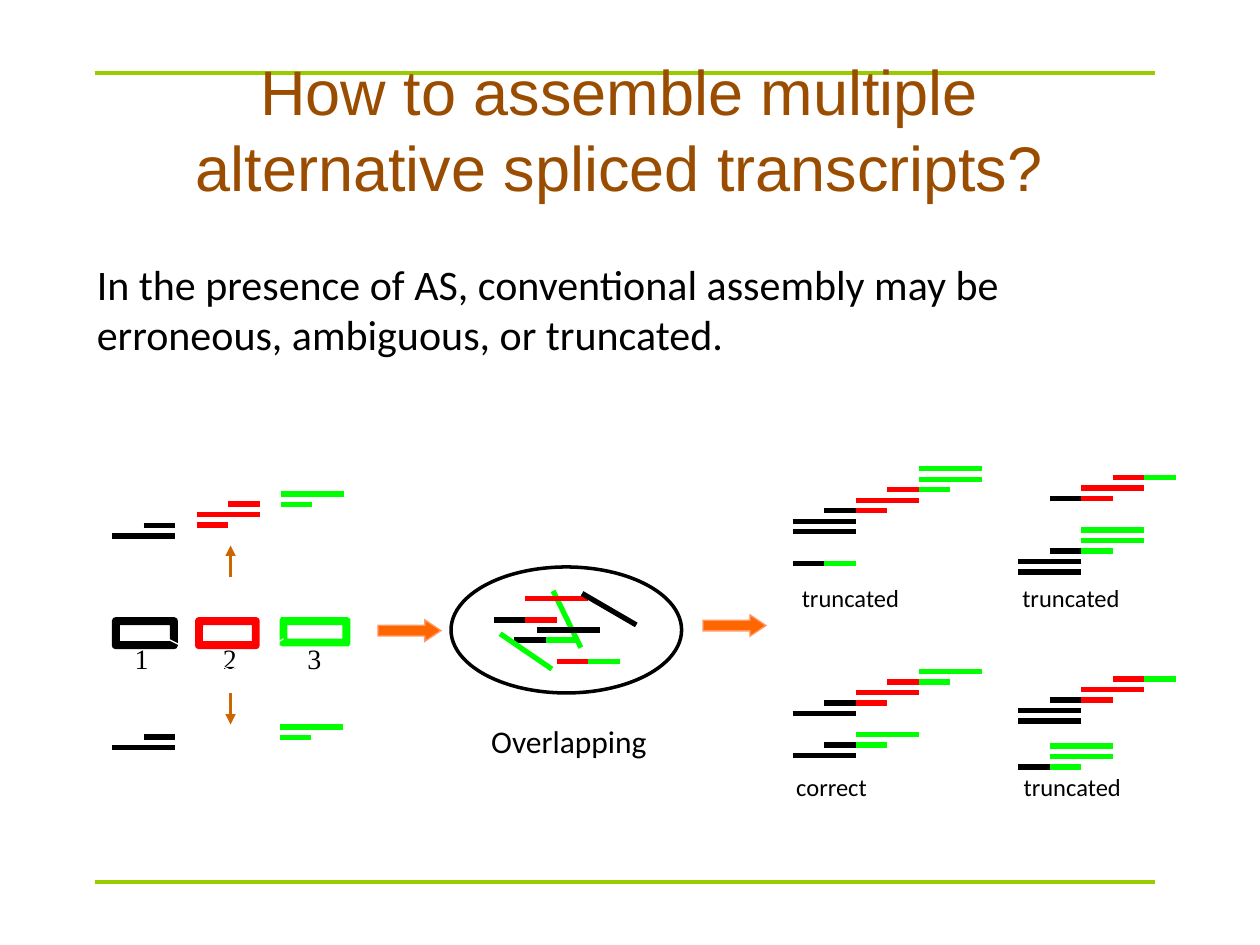
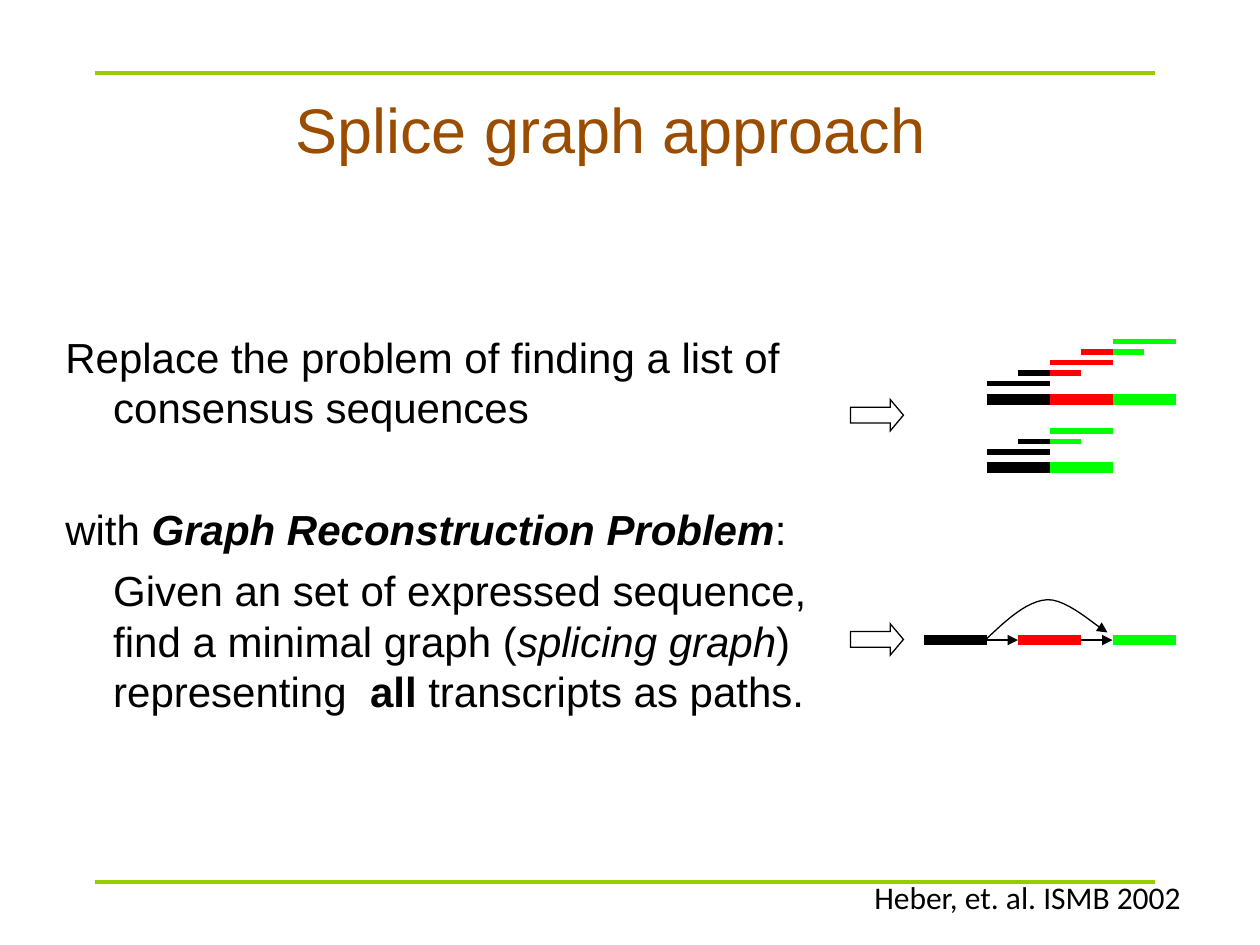
from itertools import groupby

from lxml import etree
from pptx import Presentation
from pptx.dml.color import RGBColor
from pptx.enum.shapes import MSO_CONNECTOR, MSO_SHAPE
from pptx.enum.text import MSO_ANCHOR, MSO_AUTO_SIZE, PP_ALIGN
from pptx.oxml.ns import qn
from pptx.util import Inches, Pt

BLACK = RGBColor(0x00, 0x00, 0x00)
WHITE = RGBColor(0xFF, 0xFF, 0xFF)
RED = RGBColor(0xFF, 0x00, 0x00)
GREEN = RGBColor(0x00, 0xFF, 0x00)
RULE_GREEN = RGBColor(0x99, 0xCC, 0x00)
TITLE_BROWN = RGBColor(0x9A, 0x4D, 0x00)
ARROW_BROWN = RGBColor(0xCC, 0x66, 0x00)
ARROW_ORANGE = RGBColor(0xFF, 0x66, 0x00)
ARROW_EDGE = RGBColor(0xFF, 0x99, 0x66)

EXON_COLORS = {"K": BLACK, "R": RED, "G": GREEN}
HALF_READ = 0.25
READ_PITCH = 1 / 12

FULL_TRANSCRIPT = ["....GG", "...RG", "..RR", ".KR", "KK"]
SKIPPED_EXON = ["..GG", ".KG", "KK"]


def write(frame, text, size=24, font="Calibri", color=BLACK, align=PP_ALIGN.LEFT,
          before=0, margin=0, indent=0, append=False):
    """Write one paragraph; text is a string or a list of (text, bold, italic)."""
    paragraph = frame.add_paragraph() if append else frame.paragraphs[0]
    paragraph.alignment = align
    paragraph.space_before = Pt(before)
    properties = paragraph._p.get_or_add_pPr()
    properties.set("marL", str(Inches(margin)))
    properties.set("indent", str(Inches(indent)))
    for words, bold, italic in [(text, False, False)] if isinstance(text, str) else text:
        run = paragraph.add_run()
        run.text = words
        run.font.size, run.font.name = Pt(size), font
        run.font.bold, run.font.italic = bold, italic
        run.font.color.rgb = color


def text_frame(slide, left, top, width, height):
    box = slide.shapes.add_textbox(Inches(left), Inches(top), Inches(width), Inches(height))
    box.text_frame.word_wrap = True
    return box.text_frame


def add_label(slide, text, left, top, width, height, **style):
    """A one-line text whose box grows with it instead of wrapping."""
    frame = text_frame(slide, left, top, width, height)
    frame.word_wrap = False
    frame.auto_size = MSO_AUTO_SIZE.SHAPE_TO_FIT_TEXT
    write(frame, text, **style)


def add_arrowhead(shape):
    etree.SubElement(shape.line._get_or_add_ln(), qn("a:tailEnd"), type="triangle")


def add_line(slide, start, end, color, width=3, arrow=False):
    line = slide.shapes.add_connector(
        MSO_CONNECTOR.STRAIGHT, *(Inches(value) for value in (*start, *end)))
    line.line.color.rgb = color
    line.line.width = Pt(width)
    if arrow:
        add_arrowhead(line)
    etree.SubElement(line._element.spPr, qn("a:effectLst"))


def add_outline(slide, points, color, width=0.75, arrow=False):
    (first, *rest) = [(Inches(x), Inches(y)) for x, y in points]
    builder = slide.shapes.build_freeform(*first)
    builder.add_line_segments(rest, close=False)
    outline = builder.convert_to_shape()
    outline.shadow.inherit = False
    outline.fill.background()
    outline.line.color.rgb = color
    outline.line.width = Pt(width)
    if arrow:
        add_arrowhead(outline)


def add_preset(slide, kind, left, top, width, height, edge, edge_width=0.75,
               fill=None, adjustments=()):
    shape = slide.shapes.add_shape(
        kind, Inches(left), Inches(top), Inches(width), Inches(height))
    shape.shadow.inherit = False
    for index, value in enumerate(adjustments):
        shape.adjustments[index] = value
    if fill is None:
        shape.fill.background()
    else:
        shape.fill.solid()
        shape.fill.fore_color.rgb = fill
    shape.line.color.rgb = edge
    shape.line.width = Pt(edge_width)
    etree.SubElement(shape.line._get_or_add_ln(), qn("a:miter"), lim="800000")


def add_reads(slide, left, top, rows, width=3):
    """Draw rows of reads; a letter is a half read of that exon, a dot a gap."""
    for row, pattern in enumerate(rows):
        y, x = top + row * READ_PITCH, left
        for exon, halves in groupby(pattern):
            end = x + HALF_READ * len(list(halves))
            if exon in EXON_COLORS:
                add_line(slide, (x, y), (end, y), EXON_COLORS[exon], width)
            x = end


def bezier(p0, p1, p2, p3, steps=12):
    for step in range(steps + 1):
        t = step / steps
        weights = ((1 - t) ** 3, 3 * t * (1 - t) ** 2, 3 * t * t * (1 - t), t ** 3)
        yield tuple(sum(w * p[axis] for w, p in zip(weights, (p0, p1, p2, p3)))
                    for axis in (0, 1))


def add_titled_slide(deck, title):
    """A slide with the two rules, and its title in front of them."""
    slide = deck.slides.add_slide(deck.slide_layouts[5])
    for y in (0.58, 7):
        add_line(slide, (0.75, y), (9.17, y), RULE_GREEN, 2.25)
    holder = slide.shapes.title
    slide.shapes._spTree.append(holder._element)
    holder.left, holder.top = Inches(1), Inches(0.67)
    holder.width, holder.height = Inches(7.83), Inches(0.7)
    frame = holder.text_frame
    frame.auto_size = MSO_AUTO_SIZE.NONE
    frame.vertical_anchor = MSO_ANCHOR.MIDDLE
    frame.margin_left = frame.margin_right = frame.margin_top = frame.margin_bottom = 0
    write(frame, title, size=36, font="Arial", color=TITLE_BROWN, align=PP_ALIGN.CENTER)
    return slide


def add_gene(slide, left, top):
    """Three numbered exons, with the reads of both splice forms around them."""
    exons = [("1", 0.09, 0.46, 0.19, BLACK, 0.14), ("2", 0.75, 0.45, 0.19, RED, 0.84),
             ("3", 1.42, 0.5, 0.17, GREEN, 1.51)]
    for number, x, width, height, color, label_x in exons:
        add_preset(slide, MSO_SHAPE.ROUNDED_RECTANGLE, left + x, top + 1.01, width, height,
                   color, 4.5, adjustments=[0.01])
        add_label(slide, number, left + label_x, top + 1.12, 0.31, 0.37,
                  size=16, font="Times New Roman")
    for x, y, rows in [(0.06, 0.25, [".K", "KK"]), (0.73, 0.08, [".R", "RR", "R"]),
                       (1.4, 0, ["GG", "G"]), (0.06, 1.93, [".K", "KK"]),
                       (1.39, 1.85, ["GG", "G"])]:
        add_reads(slide, left + x, top + y, rows)
    skip = [(0.5, 1.15), (1, 1.4), (1.42, 1.15)]
    add_outline(slide, [(left + x, top + y) for x, y in skip], WHITE)
    for start, end in ((0.66, 0.41), (1.58, 1.83)):
        add_line(slide, (left + 1, top + start), (left + 1, top + end),
                 ARROW_BROWN, 1.5, arrow=True)


def add_read_pool(slide, left, top):
    """The oval of unordered reads with its caption."""
    def tilted(start, end, color):
        add_line(slide, (left + start[0], top + start[1]),
                 (left + end[0], top + end[1]), color)

    tilted((1.03, 0.64), (0.81, 0.19), GREEN)
    add_reads(slide, left + 0.59, top + 0.25, ["RR"])
    tilted((1.04, 0.21), (1.47, 0.46), BLACK)
    for x, y, read in [(0.34, 0.42, "KR"), (0.84, 0.75, "RG"),
                       (0.68, 0.5, "KK"), (0.5, 0.58, "KG")]:
        add_reads(slide, left + x, top + y, [read])
    tilted((0.39, 0.53), (0.8, 0.81), GREEN)
    add_preset(slide, MSO_SHAPE.OVAL, left, top, 1.83, 1, BLACK, 2)
    add_label(slide, "Overlapping", left + 0.14, top + 1.18, 1.59, 0.4,
              size=18, align=PP_ALIGN.CENTER)


def add_assemblies(slide, left, top):
    """The four possible assemblies, each with its verdict."""
    right = left + 1.79
    stacks = [
        (left, 0, ["....GG", *FULL_TRANSCRIPT, "KK", "", "", "KG"]),
        (right, 0.07, [*FULL_TRANSCRIPT[1:4], "", "", "..GG", *SKIPPED_EXON, "KK"]),
        (left, 1.61, [*FULL_TRANSCRIPT, "", *SKIPPED_EXON]),
        (right, 1.67, [*FULL_TRANSCRIPT[1:], "KK"]),
        (right, 2.2, [".GG", ".GG", "KG"]),
    ]
    for x, y, rows in stacks:
        add_reads(slide, x, top + y, rows)
    for verdict, x, y, width in [("truncated", -0.03, 0.86, 0.98), ("truncated", 1.72, 0.86, 0.98),
                                 ("correct", -0.07, 2.36, 0.76), ("truncated", 1.73, 2.36, 0.98)]:
        add_label(slide, verdict, left + x, top + y, width, 0.34,
                  size=14, align=PP_ALIGN.CENTER)


def add_splicing_graph(slide, left, y):
    add_reads(slide, left, y, ["KK.RR.GG"], width=6)
    curves = [((0.5, -0.01), (0.66, -0.16), (0.82, -0.31), (0.98, -0.32)),
              ((0.98, -0.32), (1.14, -0.33), (1.38, -0.1), (1.46, -0.06))]
    points = [*bezier(*curves[0]), *list(bezier(*curves[1]))[1:]]
    add_outline(slide, [(left + dx, y + dy) for dx, dy in points], BLACK, arrow=True)
    for x in (0.5, 1.25):
        add_line(slide, (left + x, y), (left + x + 0.25, y), BLACK, 0.75, arrow=True)


def build_assembly_slide(deck):
    slide = add_titled_slide(
        deck, "How to assemble multiple alternative spliced transcripts?")
    write(text_frame(slide, 0.67, 2, 8.75, 0.9),
          "In the presence of AS, conventional assembly may be erroneous, "
          "ambiguous, or truncated.")
    add_gene(slide, 0.83, 3.92)
    add_read_pool(slide, 3.58, 4.5)
    add_assemblies(slide, 6.29, 3.72)
    for left, top in ((3, 4.92), (5.58, 4.88)):
        add_preset(slide, MSO_SHAPE.RIGHT_ARROW, left, top, 0.5, 0.17, ARROW_EDGE,
                   fill=ARROW_ORANGE, adjustments=[0.5, 0.75])


def build_splice_graph_slide(deck):
    slide = add_titled_slide(deck, "Splice graph approach ")
    body = text_frame(slide, 0.42, 2.58, 6.25, 4.5)
    style = {"font": "Arial", "margin": 0.38}
    write(body, "Replace the problem of finding a list of consensus sequences",
          indent=-0.38, **style)
    write(body, [("with ", False, False), ("Graph Reconstruction Problem", True, True),
                 (":", False, False)],
          indent=-0.38, before=41, append=True, **style)
    write(body, [("Given an set of expressed sequence, find a minimal graph (", False, False),
                 ("splicing graph", False, True), (") representing  ", False, False),
                 ("all", True, False), (" transcripts as paths.", False, False)],
          before=6, append=True, **style)
    for top, rows, consensus_top, consensus in [(2.71, FULL_TRANSCRIPT, 3.17, "KKRRGG"),
                                                (3.42, SKIPPED_EXON, 3.71, "KKGG")]:
        add_reads(slide, 7.83, top, rows)
        add_reads(slide, 7.83, consensus_top, [consensus], width=6)
    add_splicing_graph(slide, 7.33, 5.08)
    for top in (3.17, 4.95):
        add_preset(slide, MSO_SHAPE.RIGHT_ARROW, 6.75, top, 0.42, 0.25, BLACK,
                   adjustments=[0.5, 0.42])
    add_label(slide, "Heber, et. al. ISMB 2002", 6.84, 6.92, 2.71, 0.4, size=18)


def main():
    deck = Presentation()
    deck.slide_width, deck.slide_height = Inches(10), Inches(7.5)
    build_assembly_slide(deck)
    build_splice_graph_slide(deck)
    deck.save("out.pptx")


if __name__ == "__main__":
    main()
